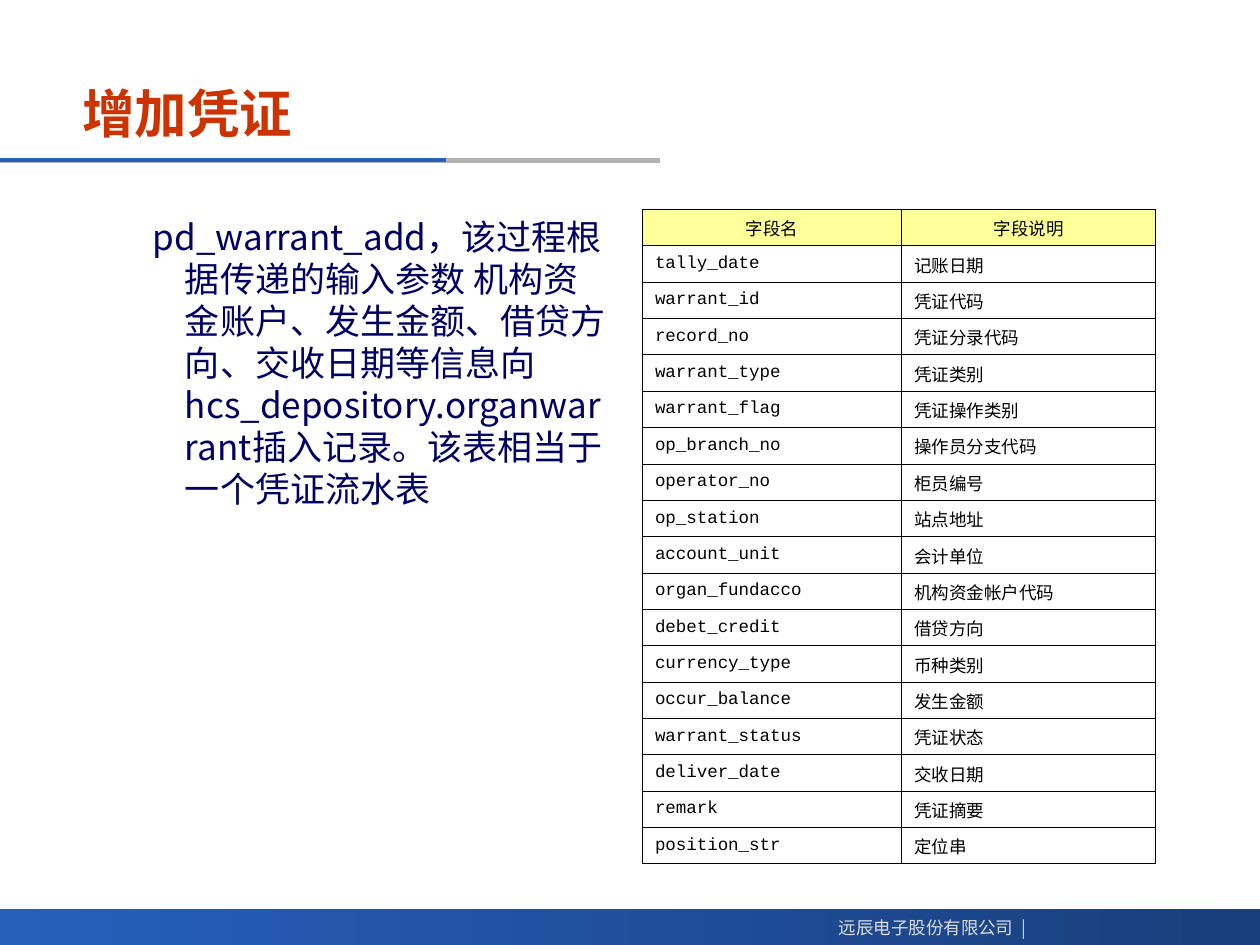
import pptx
import pptx.dml.color
import pptx.enum.shapes
import pptx.enum.text
import pptx.oxml
import pptx.oxml.ns
import pptx.util
from pptx.util import Cm

TITLE = "增加凭证"
DESCRIPTION = (
    "pd_warrant_add，该过程根据传递的输入参数 机构资金账户、发生金额、借贷方向、"
    "交收日期等信息向hcs_depository.organwarrant插入记录。该表相当于一个凭证流水表"
)
FOOTER = "远辰电子股份有限公司  |"
HEADINGS = ("字段名", "字段说明")
FIELDS = [
    ("tally_date", "记账日期"),
    ("warrant_id", "凭证代码"),
    ("record_no", "凭证分录代码"),
    ("warrant_type", "凭证类别"),
    ("warrant_flag", "凭证操作类别"),
    ("op_branch_no", "操作员分支代码"),
    ("operator_no", "柜员编号"),
    ("op_station", "站点地址"),
    ("account_unit", "会计单位"),
    ("organ_fundacco", "机构资金帐户代码"),
    ("debet_credit", "借贷方向"),
    ("currency_type", "币种类别"),
    ("occur_balance", "发生金额"),
    ("warrant_status", "凭证状态"),
    ("deliver_date", "交收日期"),
    ("remark", "凭证摘要"),
    ("position_str", "定位串"),
]
THEME = {
    "sans": "Noto Sans CJK SC", "mono": "Courier New", "heading": "Arial",
    "title_size": 30, "body_size": 20, "small_size": 10,
    "title": "CC3300", "body": "000064", "cell": "000000", "footer": "DDDDDD",
    "head_fill": "FFFF99", "cell_fill": "FFFFFF", "border": "000000",
    "rule_grey": "B2B2B2", "rule_blue": "2A60C0",
    "bar_dark": "193F7C", "bar_light": "265FBC",
}
# (end x, colour, width in points); every rule starts at the left edge
RULES = [(Cm(13.31), "rule_grey", 3), (Cm(8.99), "rule_blue", 2.25)]
RULE_TOP = Cm(3.23)
CONTENT_TOP, CONTENT_HEIGHT = Cm(4.22), Cm(13.21)
COLUMN_WIDTHS = (Cm(5.23), Cm(5.11))
BORDER_WIDTH = pptx.util.Pt(0.45)


def colour(name):
    return pptx.dml.color.RGBColor.from_string(THEME[name])


def write(frame, text, face, size, ink, align=pptx.enum.text.PP_ALIGN.LEFT, bold=False):
    """Fill a text frame with one formatted paragraph and return it."""
    para = frame.paragraphs[0]
    para.text = text
    para.alignment = align
    para.font.name = THEME[face]
    para.font.size = pptx.util.Pt(THEME[size])
    para.font.color.rgb = colour(ink)
    para.font.bold = bold
    return para


def add_border(cell):
    properties = cell._tc.get_or_add_tcPr()
    for position, side in enumerate(("lnL", "lnR", "lnT", "lnB")):
        properties.insert(position, pptx.oxml.parse_xml(
            f'<a:{side} {pptx.oxml.ns.nsdecls("a")} w="{BORDER_WIDTH}"><a:solidFill>'
            f'<a:srgbClr val="{THEME["border"]}"/></a:solidFill></a:{side}>'))


def add_footer(page, deck):
    bar_height = Cm(0.72)
    bar = page.shapes.add_shape(
        pptx.enum.shapes.MSO_SHAPE.RECTANGLE,
        0, deck.slide_height - bar_height, deck.slide_width, bar_height)
    bar.shadow.inherit = False
    bar.line.fill.background()
    bar.fill.gradient()
    bar.fill.gradient_angle = 180
    for stop, name in zip(bar.fill.gradient_stops, ("bar_dark", "bar_light")):
        stop.color.rgb = colour(name)
    box = page.shapes.add_textbox(Cm(16.59), Cm(18.36), Cm(4.34), Cm(0.69))
    box.text_frame.word_wrap = False
    write(box.text_frame, FOOTER, "sans", "small_size", "footer",
          pptx.enum.text.PP_ALIGN.RIGHT)


def add_rules(page):
    for end, name, width in RULES:
        rule = page.shapes.add_connector(
            pptx.enum.shapes.MSO_CONNECTOR.STRAIGHT, 0, RULE_TOP, end, RULE_TOP)
        rule.line.color.rgb = colour(name)
        rule.line.width = pptx.util.Pt(width)
        rule._element.spPr.append(
            pptx.oxml.parse_xml(f'<a:effectLst {pptx.oxml.ns.nsdecls("a")}/>'))


def add_title(page):
    title = page.shapes.title
    title.left, title.top, title.width, title.height = Cm(1.4), Cm(1.42), Cm(17.58), Cm(1.7)
    title.text_frame.vertical_anchor = pptx.enum.text.MSO_ANCHOR.MIDDLE
    write(title.text_frame, TITLE, "heading", "title_size", "title", bold=True)


def add_description(page):
    box = page.shapes.add_textbox(Cm(2.21), CONTENT_TOP, Cm(10.34), CONTENT_HEIGHT)
    box.text_frame.word_wrap = True
    para = write(box.text_frame, DESCRIPTION, "sans", "body_size", "body")
    para.space_before = para.space_after = pptx.util.Pt(5)
    properties = para._p.get_or_add_pPr()
    properties.set("marL", str(Cm(1.27)))
    properties.set("indent", str(Cm(-0.65)))


def add_field_table(page):
    rows = [HEADINGS, *FIELDS]
    table = page.shapes.add_table(
        len(rows), len(HEADINGS), Cm(12.95), CONTENT_TOP,
        sum(COLUMN_WIDTHS), CONTENT_HEIGHT).table
    for column, width in zip(table.columns, COLUMN_WIDTHS):
        column.width = width
    for row_index, row in enumerate(rows):
        is_head = row_index == 0
        align = pptx.enum.text.PP_ALIGN.CENTER if is_head else pptx.enum.text.PP_ALIGN.LEFT
        for column_index, text in enumerate(row):
            cell = table.cell(row_index, column_index)
            face = "mono" if is_head or column_index == 0 else "sans"
            write(cell.text_frame, text, face, "small_size", "cell", align)
            cell.vertical_anchor = pptx.enum.text.MSO_ANCHOR.MIDDLE
            cell.fill.solid()
            cell.fill.fore_color.rgb = colour("head_fill" if is_head else "cell_fill")
            add_border(cell)


def main():
    deck = pptx.Presentation()
    deck.slide_width, deck.slide_height = Cm(25.4), Cm(19.05)
    page = deck.slides.add_slide(deck.slide_layouts.get_by_name("Title Only"))
    add_footer(page, deck)
    add_rules(page)
    add_title(page)
    add_description(page)
    add_field_table(page)
    deck.save("out.pptx")


if __name__ == "__main__":
    main()
